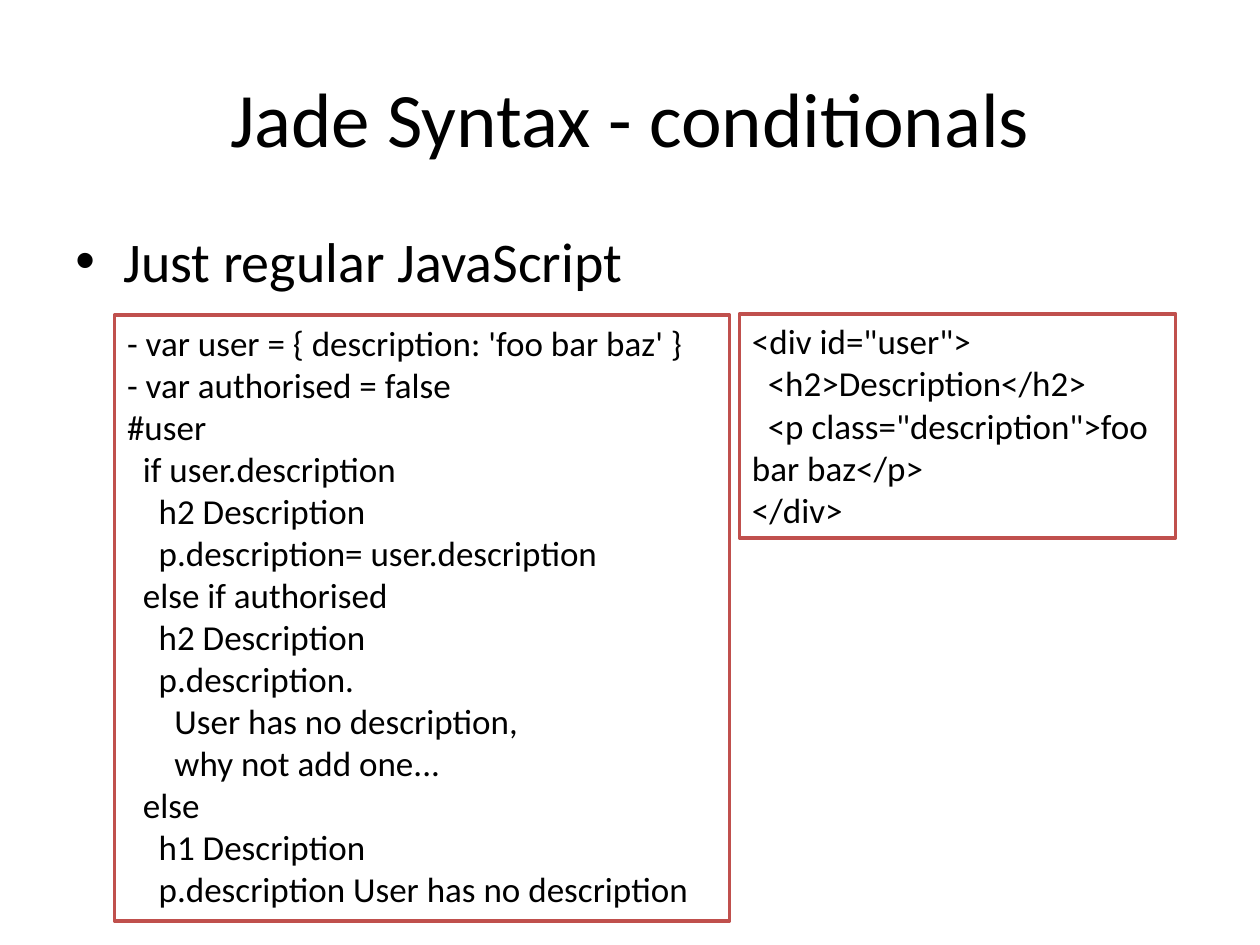
from dataclasses import dataclass
from lxml import etree
from pptx import Presentation
from pptx.dml.color import RGBColor
from pptx.enum.shapes import MSO_SHAPE
from pptx.enum.text import MSO_ANCHOR, PP_ALIGN
from pptx.oxml.ns import qn
from pptx.util import Inches, Pt

RECT = MSO_SHAPE.RECTANGLE
TOP, MIDDLE = MSO_ANCHOR.TOP, MSO_ANCHOR.MIDDLE
LEFT, CENTER = PP_ALIGN.LEFT, PP_ALIGN.CENTER

JADE = """- var user = { description: 'foo bar baz' }
- var authorised = false
#user
  if user.description
    h2 Description
    p.description= user.description
  else if authorised
    h2 Description
    p.description.
      User has no description,
      why not add one...
  else
    h1 Description
    p.description User has no description"""

HTML = """<div id="user">
  <h2>Description</h2>
  <p class="description">foo bar baz</p>
</div>"""


@dataclass(frozen=True)
class Theme:
    """Colours, font and type sizes."""
    ink: RGBColor = RGBColor(0, 0, 0)
    paper: RGBColor = RGBColor(255, 255, 255)
    edge: RGBColor = RGBColor(0xC0, 0x50, 0x4D)
    font: str = "Calibri"
    title: int = 44
    body: int = 32
    code: int = 20


class Deck:
    """Draws styled elements on a grid of 10 columns by 7.5 rows."""

    def __init__(self, theme):
        """Start a deck with one blank slide."""
        self.theme = theme
        self.show = Presentation()
        self.show.slide_width, self.show.slide_height = Inches(10), Inches(7.5)
        self.slide = self.show.slides.add_slide(self.show.slide_layouts[6])

    def place(self, col, row, cols, rows):
        """Turn grid columns and rows into slide lengths."""
        wide, high = self.show.slide_width / 10, self.show.slide_height / 7.5
        return int(col * wide), int(row * high), int(cols * wide), int(rows * high)

    def label(self, shape, text, size, align=LEFT, anchor=TOP):
        """Fill a shape with styled text."""
        frame = shape.text_frame
        frame.word_wrap = True
        frame.vertical_anchor = anchor
        frame.text = text
        for para in frame.paragraphs:
            para.alignment = align
            for run in para.runs:
                run.font.name = self.theme.font
                run.font.size = Pt(size)
                run.font.color.rgb = self.theme.ink
        return frame

    def title(self, text, *area):
        """Add a centred heading."""
        box = self.slide.shapes.add_textbox(*self.place(*area))
        self.label(box, text, self.theme.title, CENTER, MIDDLE)

    def bullet(self, text, *area):
        """Add a bulleted text box."""
        box = self.slide.shapes.add_textbox(*self.place(*area))
        frame = self.label(box, text, self.theme.body)
        for para in frame.paragraphs:
            props = para._p.get_or_add_pPr()
            props.set("marL", str(Inches(0.38)))
            props.set("indent", str(-Inches(0.38)))
            face = etree.SubElement(props, qn("a:buFont"))
            face.set("typeface", "Arial")
            mark = etree.SubElement(props, qn("a:buChar"))
            mark.set("char", "•")

    def code(self, text, *area):
        """Add a framed code listing."""
        box = self.slide.shapes.add_shape(RECT, *self.place(*area))
        box.shadow.inherit = False
        box.fill.solid()
        box.fill.fore_color.rgb = self.theme.paper
        box.line.color.rgb = self.theme.edge
        box.line.width = Pt(2)
        self.label(box, text, self.theme.code)


def main():
    """Build and save the slide."""
    deck = Deck(Theme())
    deck.title("Jade Syntax - conditionals", 0.5, 0.3, 9, 1.25)
    deck.bullet("Just regular JavaScript", 0.5, 1.75, 9, 4.95)
    deck.code(JADE, 0.91, 2.5, 4.88, 4.81)
    deck.code(HTML, 5.87, 2.49, 3.46, 1.78)
    deck.show.save("out.pptx")


if __name__ == "__main__":
    main()
